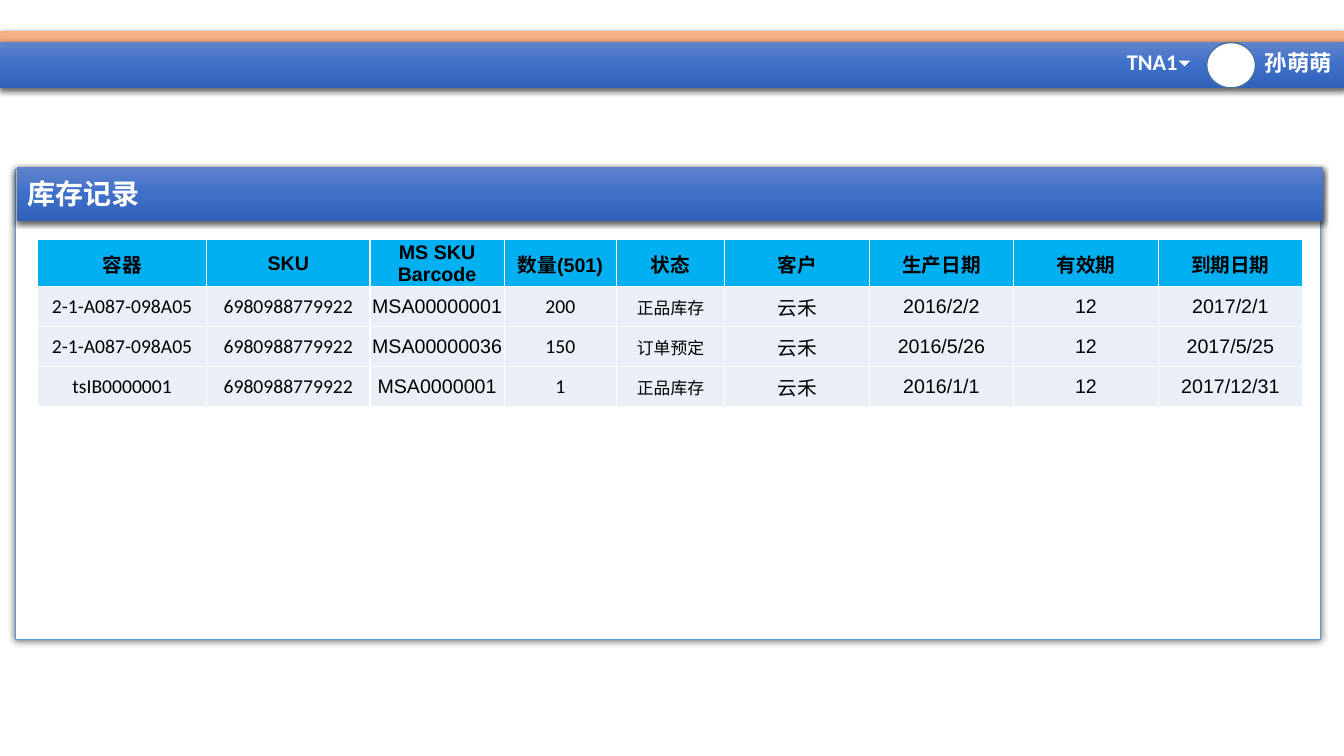
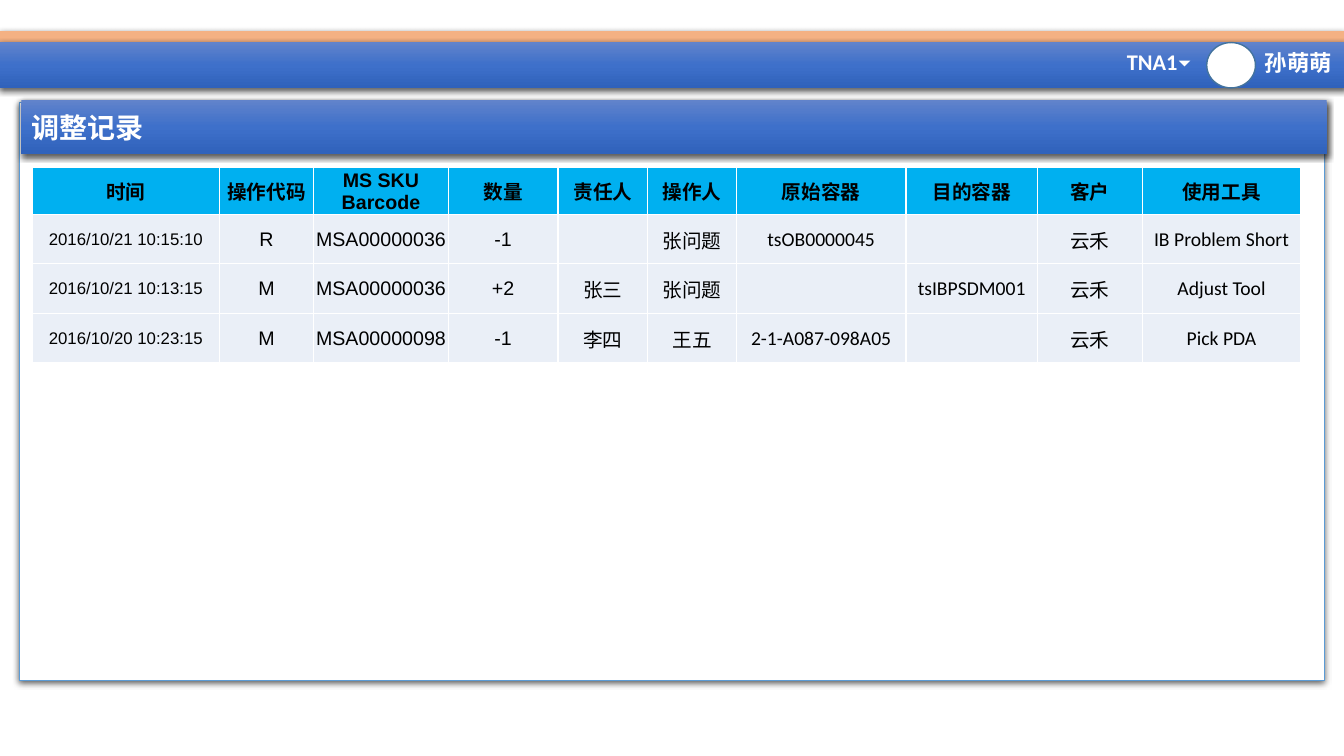
from copy import deepcopy
from dataclasses import dataclass

from lxml import etree
from pptx import Presentation
from pptx.dml.color import RGBColor
from pptx.enum.shapes import MSO_SHAPE
from pptx.enum.text import MSO_ANCHOR, MSO_AUTO_SIZE, PP_ALIGN
from pptx.oxml import parse_xml
from pptx.oxml.ns import nsdecls, qn
from pptx.util import Pt

RECTANGLE = MSO_SHAPE.RECTANGLE
OVAL = MSO_SHAPE.OVAL
RIGHT_TRIANGLE = MSO_SHAPE.RIGHT_TRIANGLE
MIDDLE = MSO_ANCHOR.MIDDLE
LEFT = PP_ALIGN.LEFT
CENTER = PP_ALIGN.CENTER
FIT_SHAPE = MSO_AUTO_SIZE.SHAPE_TO_FIT_TEXT
NO_FIT = MSO_AUTO_SIZE.NONE


@dataclass(frozen=True)
class Theme:
    white: str = "FFFFFF"
    black: str = "000000"
    accent: str = "F4B183"
    band: tuple = ("6183CB", "3E70CA", "3062BB")
    avatar_line: str = "43739E"
    panel_line: str = "5B9BD5"
    header_fill: str = "00B0F0"
    row_fill: str = "EAEFF7"
    body_font: str = "Calibri"
    table_font: str = "Arial"
    title_size: float = 20
    label_size: float = 16
    table_size: float = 14
    small_size: float = 12


theme = Theme()


def style_shape(shape, colors, line=None, line_width=1, shadow=False):
    if len(colors) == 1:
        shape.fill.solid()
        shape.fill.fore_color.rgb = RGBColor.from_string(colors[0])
    else:
        shape.fill.gradient()
        shape.fill.gradient_angle = 270
        first_stop = shape.element.xpath(".//a:gs")[0]
        first_stop.addnext(deepcopy(first_stop))
        for index, (stop, color) in enumerate(zip(shape.fill.gradient_stops, colors)):
            stop.position = index / (len(colors) - 1)
            stop.color.rgb = RGBColor.from_string(color)
    if line:
        shape.line.color.rgb = RGBColor.from_string(line)
        shape.line.width = Pt(line_width)
    else:
        shape.line.fill.background()
    shape.shadow.inherit = False
    if shadow:
        shape.element.xpath("./p:spPr/a:effectLst")[0].append(parse_xml(
            f'<a:outerShdw {nsdecls("a")} blurRad="{Pt(4.5)}" dist="{Pt(1.5)}" '
            f'dir="5400000" algn="ctr" rotWithShape="0"><a:srgbClr val="{theme.black}">'
            '<a:alpha val="63000"/></a:srgbClr></a:outerShdw>'))


def style_paragraph(paragraph, size, font, color, bold, alignment):
    paragraph.alignment = alignment
    paragraph.font.size = Pt(size)
    paragraph.font.name = font
    paragraph.font.bold = bold
    paragraph.font.color.rgb = RGBColor.from_string(color)


CLIENT = "云禾"
arial = (theme.table_font, theme.table_size)
arial_small = (theme.table_font, theme.small_size)
calibri = (theme.body_font, theme.table_size)
calibri_small = (theme.body_font, theme.small_size)

records = [
    {
        "title": "库存记录",
        "panel": (10.8, 121, 335.5),
        "table": (26.8, 170.8),
        "row_heights": (34, 28.5),
        "columns": [
            ("容器", 121, calibri),
            ("SKU", 116.5, calibri),
            ("MS SKU Barcode", 96, arial),
            ("数量(501)", 80, calibri),
            ("状态", 77.5, calibri_small),
            ("客户", 103.2, arial),
            ("生产日期", 103.2, arial),
            ("有效期", 103.2, arial),
            ("到期日期", 103.2, arial),
        ],
        "rows": [
            ("2-1-A087-098A05", "6980988779922", "MSA00000001", "200", "正品库存",
             CLIENT, "2016/2/2", "12", "2017/2/1"),
            ("2-1-A087-098A05", "6980988779922", "MSA00000036", "150", "订单预定",
             CLIENT, "2016/5/26", "12", "2017/5/25"),
            ("tsIB0000001", "6980988779922", "MSA0000001", "1", "正品库存",
             CLIENT, "2016/1/1", "12", "2017/12/31"),
        ],
    },
    {
        "title": "调整记录",
        "panel": (13.8, 73.2, 412.8),
        "table": (23.2, 119.5),
        "row_heights": (33.5, 35.4),
        "columns": [
            ("时间", 133.5, arial_small),
            ("操作代码", 67.5, arial),
            ("MS SKU Barcode", 96, arial),
            ("数量", 78.5, arial),
            ("责任人", 64, calibri),
            ("操作人", 63.5, calibri),
            ("原始容器", 121, calibri),
            ("目的容器", 94, calibri),
            ("客户", 75, arial),
            ("使用工具", 113, calibri),
        ],
        "rows": [
            ("2016/10/21 10:15:10", "R", "MSA00000036", "-1", "", "张问题",
             "tsOB0000045", "", CLIENT, "IB Problem Short"),
            ("2016/10/21 10:13:15", "M", "MSA00000036", "+2", "张三", "张问题",
             "", "tsIBPSDM001", CLIENT, "Adjust Tool"),
            ("2016/10/20 10:23:15", "M", "MSA00000098", "-1", "李四", "王五",
             "2-1-A087-098A05", "", CLIENT, "Pick PDA"),
        ],
    },
]

presentation = Presentation()
presentation.slide_width = Pt(960)
presentation.slide_height = Pt(540)
layout = presentation.slide_layouts[5]
slides = [presentation.slides.add_slide(layout) for record in records]

shapes = slides[0].shapes
accent_strip = shapes.add_shape(RECTANGLE, 0, Pt(22.3), Pt(960), Pt(8))
style_shape(accent_strip, [theme.accent], shadow=True)
top_band = shapes.add_shape(RECTANGLE, 0, Pt(30.2), Pt(960), Pt(32.6))
style_shape(top_band, theme.band, shadow=True)
avatar = shapes.add_shape(OVAL, Pt(862), Pt(30.4), Pt(34.8), Pt(32.4))
style_shape(avatar, [theme.white], line=theme.avatar_line)
menu_arrow = shapes.add_shape(RIGHT_TRIANGLE, Pt(843.2), Pt(40.4), Pt(5.8), Pt(5.8))
menu_arrow.rotation = 314.5
style_shape(menu_arrow, [theme.white])

header_shapes = [accent_strip, top_band, avatar, menu_arrow]
for text, left, top, width in [("孙萌萌", 896.4, 31.7, 63.4), ("TNA1", 797.8, 31, 51)]:
    label = shapes.add_textbox(Pt(left), Pt(top), Pt(width), Pt(26.6))
    label.text_frame.text = text
    label.text_frame.word_wrap = False
    label.text_frame.auto_size = FIT_SHAPE
    style_paragraph(label.text_frame.paragraphs[0], theme.label_size, theme.body_font,
                    theme.white, True, LEFT)
    header_shapes.append(label)

for shape_id, shape in enumerate(header_shapes, start=20):
    shape.element.xpath(".//p:cNvPr")[0].set("id", str(shape_id))
    layout.shapes.element.append(shape.element)

for slide, record in zip(slides, records):
    left, top, height = record["panel"]
    panel = slide.shapes.add_shape(RECTANGLE, Pt(left), Pt(top), Pt(932.4), Pt(height))
    style_shape(panel, [theme.white], line=theme.panel_line, line_width=0.75, shadow=True)

    title = slide.shapes.title
    panel.element.addnext(title.element)
    title.left, title.top = Pt(left + 1.5), Pt(top - 1.8)
    title.width, title.height = Pt(932.4), Pt(38.4)
    style_shape(title, theme.band, shadow=True)
    title.text_frame.text = record["title"]
    title.text_frame.auto_size = NO_FIT
    title.text_frame.vertical_anchor = MIDDLE
    style_paragraph(title.text_frame.paragraphs[0], theme.title_size, theme.body_font,
                    theme.white, True, LEFT)

    columns = record["columns"]
    header_height, row_height = record["row_heights"]
    left, top = record["table"]
    rows = [[heading for heading, width, style in columns], *record["rows"]]
    table = slide.shapes.add_table(
        len(rows), len(columns), Pt(left), Pt(top),
        Pt(sum(width for heading, width, style in columns)),
        Pt(header_height + row_height * len(record["rows"]))).table
    for column, (heading, width, style) in zip(table.columns, columns):
        column.width = Pt(width)
    for row_index, values in enumerate(rows):
        is_header = row_index == 0
        table.rows[row_index].height = Pt(header_height if is_header else row_height)
        for column_index, value in enumerate(values):
            font, size = arial if is_header else columns[column_index][2]
            cell = table.cell(row_index, column_index)
            cell.text = value
            cell.vertical_anchor = MIDDLE
            cell.margin_left = cell.margin_right = cell.margin_top = Pt(0.75)
            cell.margin_bottom = 0
            style_paragraph(cell.text_frame.paragraphs[0], size, font, theme.black,
                            is_header, CENTER)
            properties = cell._tc.get_or_add_tcPr()
            for side in ("lnL", "lnR", "lnT", "lnB"):
                border = etree.SubElement(properties, qn(f"a:{side}"), w=str(Pt(1)))
                border_fill = etree.SubElement(border, qn("a:solidFill"))
                etree.SubElement(border_fill, qn("a:srgbClr"), val=theme.white)
            cell.fill.solid()
            cell.fill.fore_color.rgb = RGBColor.from_string(
                theme.header_fill if is_header else theme.row_fill)

presentation.save("out.pptx")
